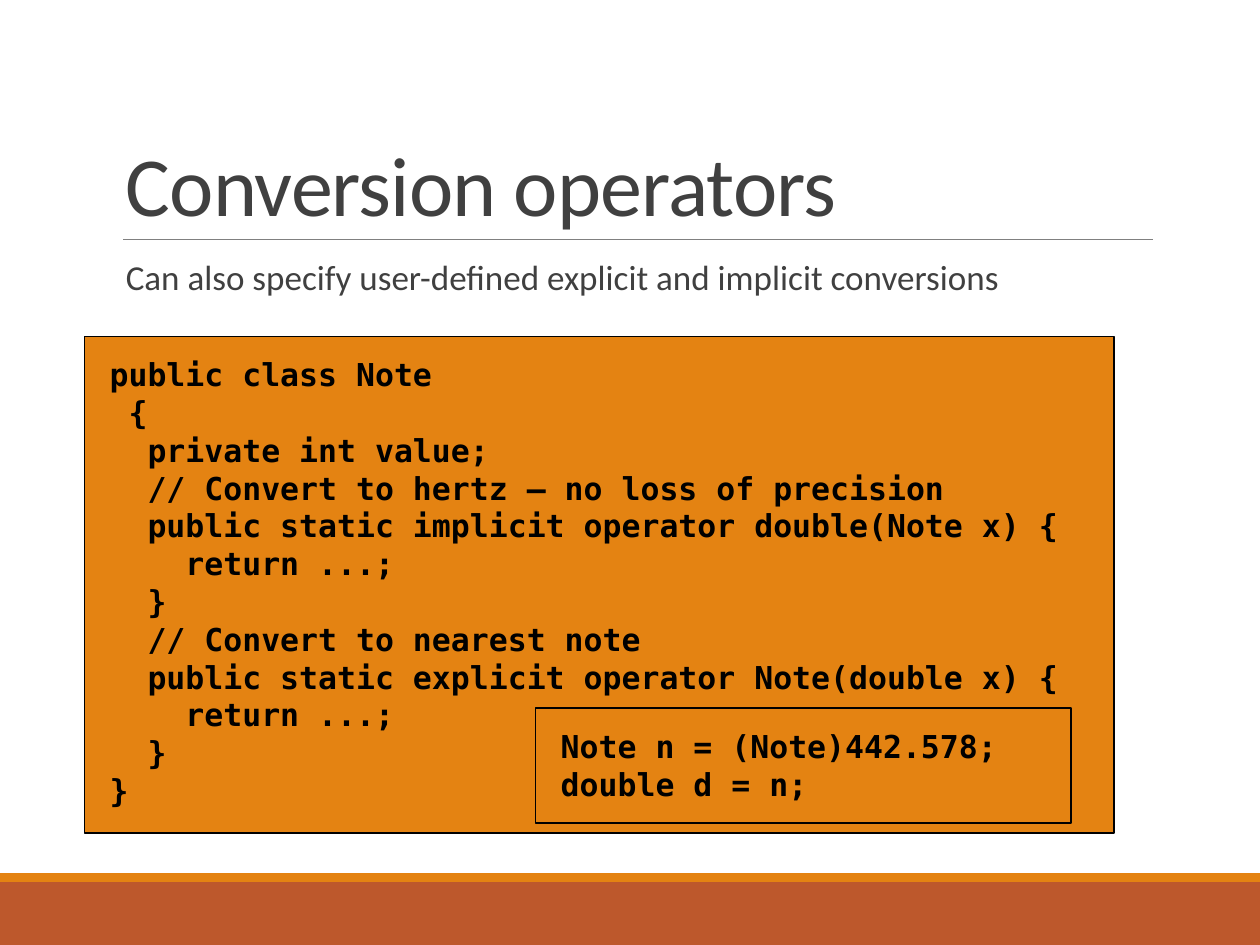
from dataclasses import dataclass
from lxml.etree import SubElement
from pptx import Presentation
from pptx.dml.color import RGBColor as Rgb
from pptx.enum.shapes import MSO_CONNECTOR as Link, MSO_SHAPE as Kind
from pptx.enum.text import MSO_ANCHOR as Anchor, PP_ALIGN as Align
from pptx.oxml.ns import qn
from pptx.util import Inches, Pt


@dataclass(frozen=True)
class Theme:
    ink: str = "404040"
    code: str = "000000"
    rule: str = "808080"
    gold: str = "E48312"
    rust: str = "BD582C"
    sans: str = "Calibri"
    mono: str = "DejaVu Sans Mono"
    head: int = 48
    body: int = 20
    small: int = 18


theme = Theme()

NOTE = """public class Note
 {
  private int value;
  // Convert to hertz – no loss of precision
  public static implicit operator double(Note x) {
    return ...;
  }
  // Convert to nearest note
  public static explicit operator Note(double x) {
    return ...;
  }
}"""
USAGE = """Note n = (Note)442.578;
double d = n;"""


def write(shape, text, size, font=theme.sans, color=theme.ink, bold=False,
          pad=(0.1, 0.05), anchor=Anchor.TOP, lead=1.0, before=0, after=0, track=0):
    frame = shape.text_frame
    frame.word_wrap = True
    frame.vertical_anchor = anchor
    frame.margin_left = frame.margin_right = Inches(pad[0])
    frame.margin_top = frame.margin_bottom = Inches(pad[1])
    for i, line in enumerate(text.split("\n")):
        para = frame.add_paragraph() if i else frame.paragraphs[0]
        para.alignment = Align.LEFT
        para.line_spacing = lead
        para.space_before, para.space_after = Pt(before), Pt(after)
        run = para.add_run()
        run.text = line
        run.font.name, run.font.size, run.font.bold = font, Pt(size), bold
        run.font.color.rgb = Rgb.from_string(color)
        if track:
            run.font._element.set("spc", str(int(track * 100)))


def panel(slide, box, fill, line=None):
    shape = slide.shapes.add_shape(Kind.RECTANGLE, *map(Inches, box))
    shape.shadow.inherit = False
    shape.fill.solid()
    shape.fill.fore_color.rgb = Rgb.from_string(fill)
    if line:
        shape.line.color.rgb = Rgb.from_string(line)
        shape.line.width = Pt(1)
    else:
        shape.line.fill.background()
    return shape


def footer(slide, box, strip=0.07):
    x, y, w, h = box
    panel(slide, (x, y + strip, w, h - strip), theme.rust)
    panel(slide, (x, y, w, strip), theme.gold)


def header(slide, box):
    x, y, w, h = box
    base = Inches(y + h)
    rule = slide.shapes.add_connector(
        Link.STRAIGHT, Inches(x + 0.08), base, Inches(x + w), base)
    rule.line.color.rgb = Rgb.from_string(theme.rule)
    rule.line.width = Pt(0.5)
    SubElement(rule._element.spPr, qn("a:effectLst"))
    title = slide.shapes.add_textbox(*map(Inches, box))
    write(title, "Conversion operators", theme.head, anchor=Anchor.BOTTOM,
          lead=0.85, track=-0.5)


def lead_in(slide, box):
    body = slide.shapes.add_textbox(*map(Inches, box))
    write(body, "Can also specify user-defined explicit and implicit conversions",
          theme.body, lead=0.9, before=12, after=2)


def listing(slide, box, text):
    shape = panel(slide, box, theme.gold, theme.code)
    write(shape, text, theme.small, font=theme.mono, color=theme.code,
          bold=True, pad=(0.2, 0.15))


def sample(slide, box):
    x, y, w, h = box
    listing(slide, box, NOTE)
    listing(slide, (x + 3.58, y + 2.95, 4.25, 0.91), USAGE)


deck = Presentation()
deck.slide_width, deck.slide_height = Inches(10), Inches(7.5)
page = deck.slides.add_slide(deck.slide_layouts[6])
footer(page, (0, 6.93, 10, 0.57))
header(page, (0.9, 0.31, 8.25, 1.59))
lead_in(page, (0.9, 2.02, 8.25, 4.4))
sample(page, (0.67, 2.67, 8.17, 3.94))
deck.save("out.pptx")
